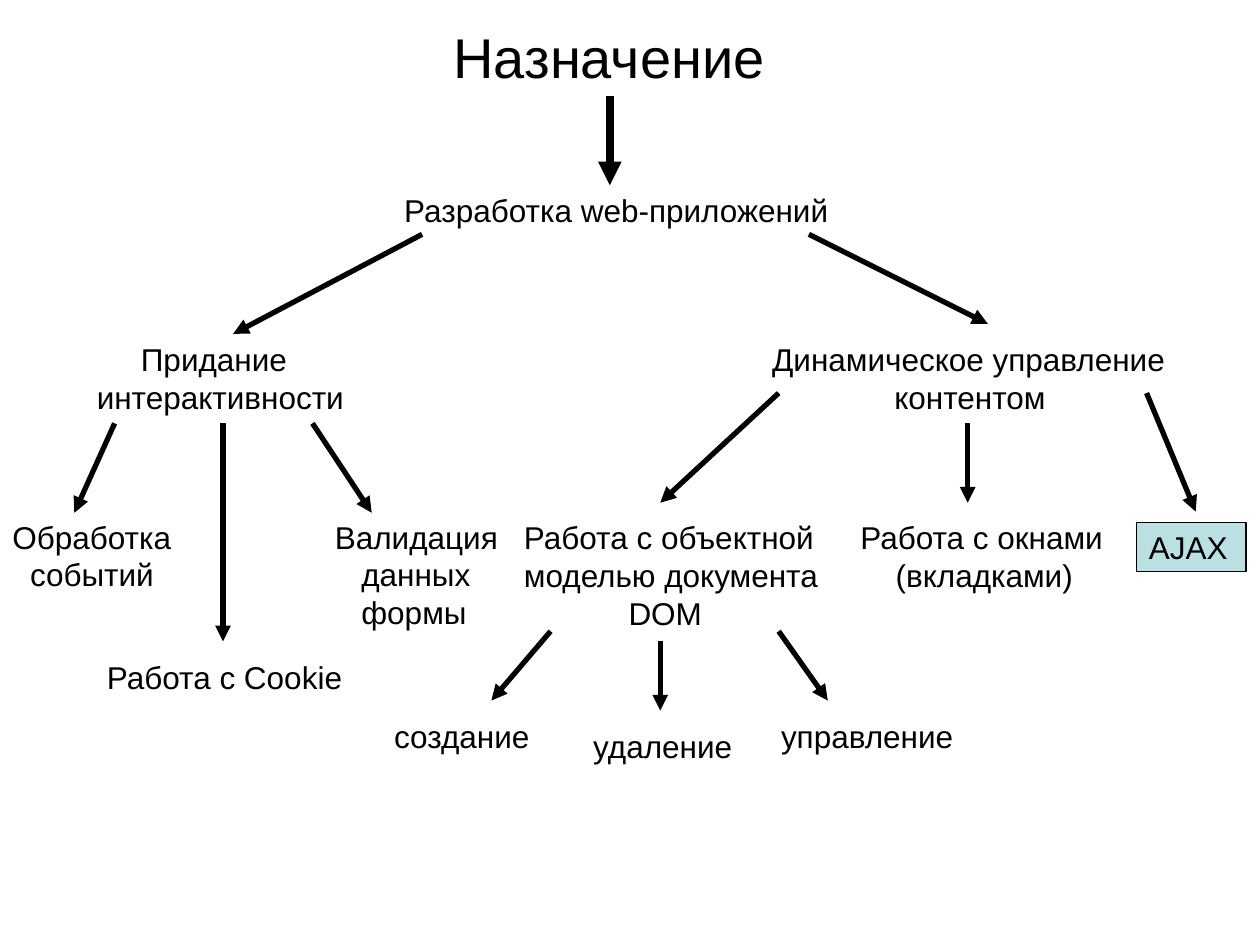
from dataclasses import dataclass

from lxml.etree import SubElement
from pptx import Presentation
from pptx.dml.color import RGBColor
from pptx.enum.shapes import MSO_CONNECTOR, MSO_SHAPE
from pptx.oxml.ns import qn
from pptx.slide import Slide
from pptx.util import Inches, Pt


def color(value):
    return RGBColor.from_string(value)


def grid(*cells):
    return [Inches(cell / 10) for cell in cells]


@dataclass
class Diagram:
    """Draw a tree of labels and arrows on a grid of 100 columns by 75 rows."""

    page: Slide
    font: str = "Arial"
    ink: str = "000000"
    accent: str = "BBE0E3"
    size: float = 18

    def panel(self, left, top, width, height):
        panel = self.page.shapes.add_shape(
            MSO_SHAPE.RECTANGLE, *grid(left, top, width, height))
        panel.shadow.inherit = False
        panel.fill.solid()
        panel.fill.fore_color.rgb = color(self.accent)
        panel.line.color.rgb = color(self.ink)
        panel.line.width = Pt(0.75)

    def label(self, left, top, width, height, *lines, size=None):
        box = self.page.shapes.add_textbox(*grid(left, top, width, height))
        frame = box.text_frame
        frame.word_wrap = True
        for number, (text, indent) in enumerate(lines):
            para = frame.add_paragraph() if number else frame.paragraphs[0]
            if indent:
                para._p.get_or_add_pPr().set("marL", str(grid(indent)[0]))
            span = para.add_run()
            span.text = text
            span.font.name = self.font
            span.font.size = Pt(size or self.size)
            span.font.color.rgb = color(self.ink)

    def arrow(self, start_x, start_y, end_x, end_y, weight=3):
        arrow = self.page.shapes.add_connector(
            MSO_CONNECTOR.STRAIGHT, *grid(start_x, start_y, end_x, end_y))
        arrow.line.color.rgb = color(self.ink)
        arrow.line.width = Pt(weight)
        SubElement(arrow.line._get_or_add_ln(), qn("a:tailEnd"), type="triangle")
        SubElement(arrow._element.spPr, qn("a:effectLst"))


LABELS = [
    (31.1, 14.7, 35.8, 4, ("Разработка web-приложений", 0)),
    (6.7, 26.5, 21.6, 7, ("Придание", 3.5), ("интерактивности", 0)),
    (60.3, 26.5, 33.9, 7, ("Динамическое управление", 0), ("контентом", 9.7)),
    (0, 40.6, 15.3, 7, ("Обработка", 0), ("событий", 1.4)),
    (25.6, 40.6, 15.3, 10, ("Валидация", 0), ("данных", 2.1), ("формы", 2.1)),
    (67.3, 40.65, 21.4, 7, ("Работа с окнами", 0), ("(вкладками)", 2.8)),
    (40.6, 40.65, 26.2, 10,
     ("Работа с объектной", 0), ("моделью документа", 0), ("DOM", 8.3)),
    (30.3, 56.4, 12.8, 4, ("создание", 0)),
    (46.1, 57.2, 13.1, 4, ("удаление", 0)),
    (61, 56.4, 15.8, 4, ("управление", 0)),
    (7.5, 51.7, 20.8, 4, ("Работа с Cookie", 0)),
    (90.2, 41.45, 8.4, 4, ("AJAX", 0)),
]

ARROWS = [
    (33.5, 18.6, 18.5, 26.5), (64.2, 18.6, 78.4, 25.7),
    (9.1, 33.6, 5.9, 40.7), (17.7, 33.6, 17.7, 50.9), (24.8, 33.6, 29.5, 40.7),
    (61.8, 31.2, 52.4, 39.9), (76.8, 33.6, 76.8, 39.9), (91, 31.2, 94.9, 40.6),
    (43.7, 50.1, 39, 55.6), (52.4, 50.9, 52.4, 56.4), (61.8, 50.1, 65.7, 55.6),
]


def main():
    deck = Presentation()
    deck.slide_width, deck.slide_height = grid(100, 75)
    diagram = Diagram(deck.slides.add_slide(deck.slide_layouts[6]))
    diagram.panel(90.2, 41.45, 8.7, 3.9)
    diagram.label(35, 1.3, 27.6, 6.4, ("Назначение", 0), size=32)
    diagram.arrow(48.4, 7.6, 48.4, 14.7, weight=4.5)
    for label in LABELS:
        diagram.label(*label)
    for arrow in ARROWS:
        diagram.arrow(*arrow)
    deck.save("out.pptx")


if __name__ == "__main__":
    main()
